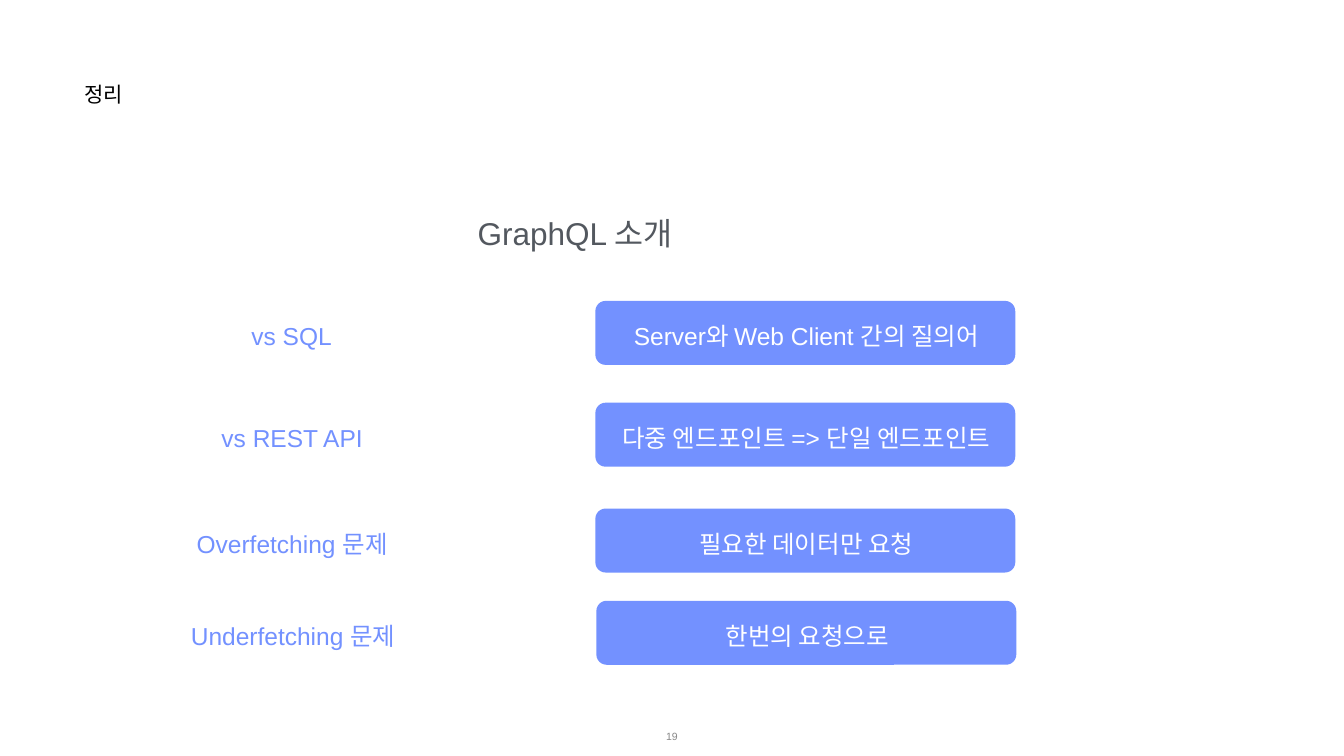
"""Build the GraphQL summary slide: four topics, each with its takeaway in a blue box."""
from dataclasses import dataclass

from pptx import Presentation
from pptx.dml.color import RGBColor
from pptx.enum.shapes import MSO_SHAPE
from pptx.enum.text import MSO_ANCHOR, PP_ALIGN
from pptx.util import Pt

PX = 9144


@dataclass(frozen=True)
class Theme:
    font: str = "Arial"
    black: str = "000000"
    white: str = "FFFFFF"
    blue: str = "7391FF"
    heading: str = "53585F"
    muted: str = "888888"
    title_size: int = 30
    heading_size: int = 45
    row_size: int = 35
    number_size: int = 15


theme = Theme()


def add_text(s, text, box, size, color, align=PP_ALIGN.CENTER, anchor=MSO_ANCHOR.MIDDLE):
    tf = s.shapes.add_textbox(*(v * PX for v in box)).text_frame
    tf.word_wrap = True
    tf.vertical_anchor = anchor
    tf.margin_left = tf.margin_right = tf.margin_top = tf.margin_bottom = PX
    p = tf.paragraphs[0]
    p.alignment = align
    r = p.add_run()
    r.text = text
    r.font.name = theme.font
    r.font.size = Pt(size)
    r.font.color.rgb = RGBColor.from_string(color)


prs = Presentation()
prs.slide_width = 2666 * PX
prs.slide_height = 1500 * PX
s = prs.slides.add_slide(prs.slide_layouts[6])

add_text(s, "정리", (167, 160, 486, 118), theme.title_size, theme.black,
         PP_ALIGN.LEFT, MSO_ANCHOR.TOP)
add_text(s, "GraphQL 소개", (264, 424, 1754, 79), theme.heading_size, theme.heading,
         anchor=MSO_ANCHOR.TOP)

rows = [
    (266, 1181, 597, "vs SQL", "Server와 Web Client 간의 질의어"),
    (267, 1181, 799, "vs REST API", "다중 엔드포인트 => 단일 엔드포인트"),
    (267, 1181, 1009, "Overfetching 문제", "필요한 데이터만 요청"),
    (269, 1183, 1192, "Underfetching 문제", "한번의 요청으로"),
]
for label_x, box_x, y, label, takeaway in rows:
    sp = s.shapes.add_shape(MSO_SHAPE.ROUNDED_RECTANGLE,
                            box_x * PX, y * PX, 833 * PX, 127 * PX)
    sp.adjustments[0] = 0.16
    sp.shadow.inherit = False
    sp.fill.solid()
    sp.fill.fore_color.rgb = RGBColor.from_string(theme.blue)
    sp.line.fill.background()
    add_text(s, label, (label_x, y + 38, 625, 62), theme.row_size, theme.blue)
    add_text(s, takeaway, (box_x + 2, y + 38, 833, 62), theme.row_size, theme.white)

add_text(s, "19", (1033, 1421, 600, 79), theme.number_size, theme.muted)

prs.save("out.pptx")
